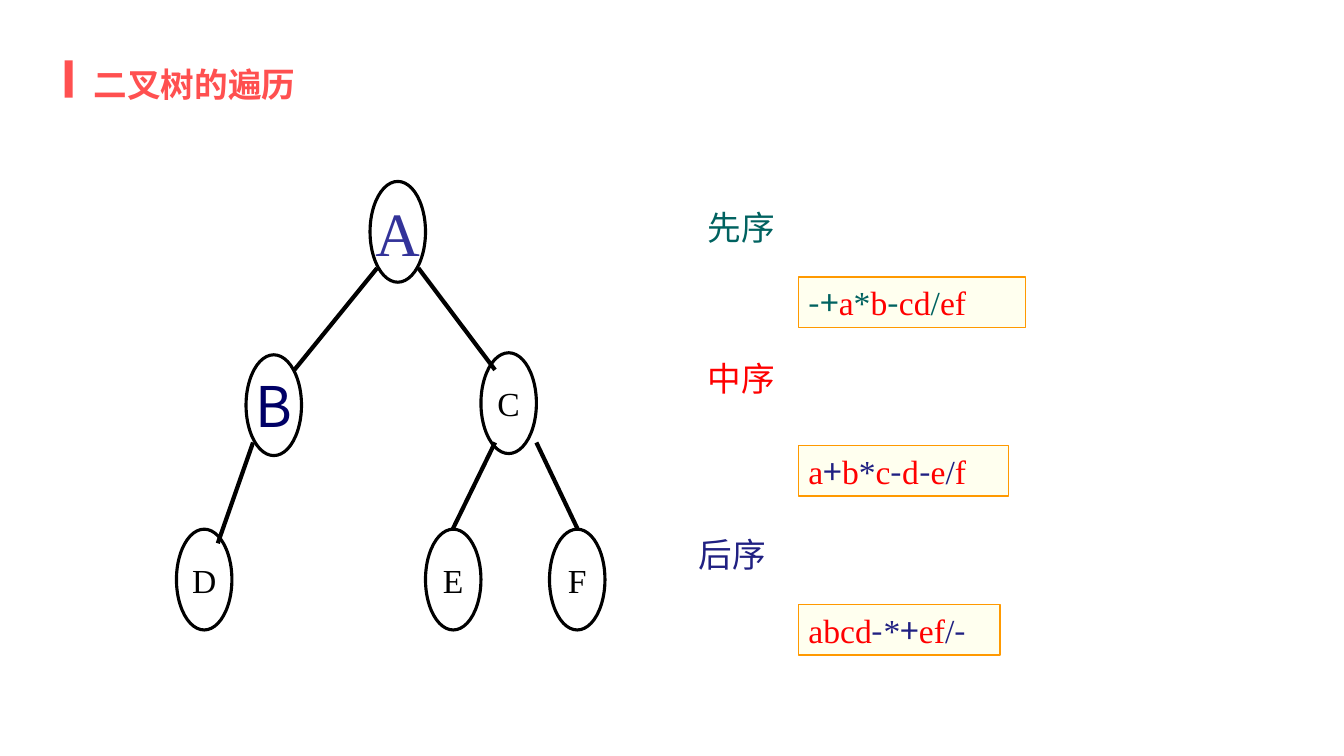
import itertools

import pptx
import pptx.dml.color
import pptx.enum.shapes
import pptx.enum.text
import pptx.oxml.ns
import pptx.util
from lxml import etree

Inches = pptx.util.Inches
RGBColor = pptx.dml.color.RGBColor
Shapes = pptx.enum.shapes.MSO_SHAPE
Align = pptx.enum.text.PP_ALIGN
Anchor = pptx.enum.text.MSO_ANCHOR

BLACK = RGBColor(0x00, 0x00, 0x00)
CORAL = RGBColor(0xFF, 0x50, 0x50)
RED = RGBColor(0xFF, 0x00, 0x00)
TEAL = RGBColor(0x00, 0x62, 0x60)
INDIGO = RGBColor(0x20, 0x20, 0x82)
VIOLET = RGBColor(0x33, 0x33, 0x99)
NAVY = RGBColor(0x00, 0x00, 0x66)
CREAM = RGBColor(0xFF, 0xFF, 0xEF)
ORANGE = RGBColor(0xFF, 0x99, 0x00)
SANS = "Noto Sans CJK SC"
SERIF = "Times New Roman"


def add_run(paragraph, text, *, size=24, font=SERIF, color=BLACK, bold=False):
    run = paragraph.add_run()
    run.text = text
    run.font.size = pptx.util.Pt(size)
    run.font.name = font
    run.font.bold = bold
    run.font.color.rgb = color
    east_asian = etree.Element(pptx.oxml.ns.qn("a:ea"), typeface=SANS)
    run.font._element.find(pptx.oxml.ns.qn("a:latin")).addnext(east_asian)


class TraversalSlide:
    """Draws the tree, labels and sequences of one traversal slide."""

    def __init__(self, presentation):
        self.slide = presentation.slides.add_slide(presentation.slide_layouts[5])

    def title(self, text, left, top, width, height):
        shape = self.slide.shapes.title
        shape.left, shape.top = Inches(left), Inches(top)
        shape.width, shape.height = Inches(width), Inches(height)
        frame = shape.text_frame
        frame.auto_size = pptx.enum.text.MSO_AUTO_SIZE.NONE
        frame.vertical_anchor = Anchor.BOTTOM
        frame.paragraphs[0].alignment = Align.LEFT
        add_run(frame.paragraphs[0], text, font=SANS, color=CORAL, bold=True)

    def shape(self, kind, left, top, width, height, fill=None, line=None, weight=1):
        shape = self.slide.shapes.add_shape(
            kind, Inches(left), Inches(top), Inches(width), Inches(height))
        shape.shadow.inherit = False
        if fill is None:
            shape.fill.background()
        else:
            shape.fill.solid()
            shape.fill.fore_color.rgb = fill
        if line is None:
            shape.line.fill.background()
        else:
            shape.line.color.rgb = line
            shape.line.width = pptx.util.Pt(weight)
        shape.text_frame.vertical_anchor = Anchor.MIDDLE
        return shape

    def node(self, text, left, top, **style):
        shape = self.shape(Shapes.OVAL, left, top, 0.55, 1, line=BLACK, weight=2.25)
        shape.text_frame.word_wrap = False
        paragraph = shape.text_frame.paragraphs[0]
        paragraph.alignment = Align.CENTER
        add_run(paragraph, text, **style)

    def edge(self, *ends):
        connector = self.slide.shapes.add_connector(
            pptx.enum.shapes.MSO_CONNECTOR.STRAIGHT, *map(Inches, ends))
        connector.line.color.rgb = BLACK
        connector.line.width = pptx.util.Pt(3)
        properties = connector._element.spPr
        etree.SubElement(properties, pptx.oxml.ns.qn("a:effectLst"))

    def label(self, text, left, top, width, color):
        box = self.slide.shapes.add_textbox(
            Inches(left), Inches(top), Inches(width), Inches(0.5))
        box.text_frame.word_wrap = True
        add_run(box.text_frame.paragraphs[0], text, color=color)

    def sequence(self, text, top, width, operator_color):
        shape = self.shape(Shapes.RECTANGLE, 7.92, top, width, 0.5, CREAM, ORANGE)
        paragraph = shape.text_frame.paragraphs[0]
        paragraph.alignment = Align.LEFT

        def run_style(symbol):
            color = RED if symbol.isalpha() else operator_color
            return SANS if symbol in "+-" else SERIF, color

        for (font, color), symbols in itertools.groupby(text, run_style):
            add_run(paragraph, "".join(symbols), font=font, color=color)


def main():
    presentation = pptx.Presentation()
    presentation.slide_width = Inches(13.33)
    presentation.slide_height = Inches(7.5)
    page = TraversalSlide(presentation)
    page.title("二叉树的遍历", 0.83, 0.62, 11.68, 0.46)
    page.shape(Shapes.RECTANGLE, 0.64, 0.6, 0.08, 0.37, fill=CORAL)

    for text, left in (("D", 1.75), ("E", 4.22), ("F", 5.45)):
        page.node(text, left, 5.25)
    page.node("A", 3.67, 1.8, size=44, color=VIOLET)
    page.node("B", 2.44, 3.52, size=40, font=SANS, color=NAVY)
    page.node("C", 4.77, 3.5)

    for ends in (
        (3.74, 2.66, 2.92, 3.67),
        (4.15, 2.66, 4.91, 3.67),
        (2.51, 4.39, 2.16, 5.39),
        (4.91, 4.39, 4.49, 5.25),
        (5.32, 4.39, 5.73, 5.25),
    ):
        page.edge(*ends)

    page.label("先序", 6.92, 2, 4.08, TEAL)
    page.label("中序", 6.92, 3.5, 4.08, RED)
    page.label("后序", 6.83, 5.25, 3.5, INDIGO)
    page.sequence("-+a*b-cd/ef", 2.75, 2.25, TEAL)
    page.sequence("a+b*c-d-e/f", 4.42, 2.08, INDIGO)
    page.sequence("abcd-*+ef/-", 6, 2, INDIGO)
    presentation.save("out.pptx")


if __name__ == "__main__":
    main()
